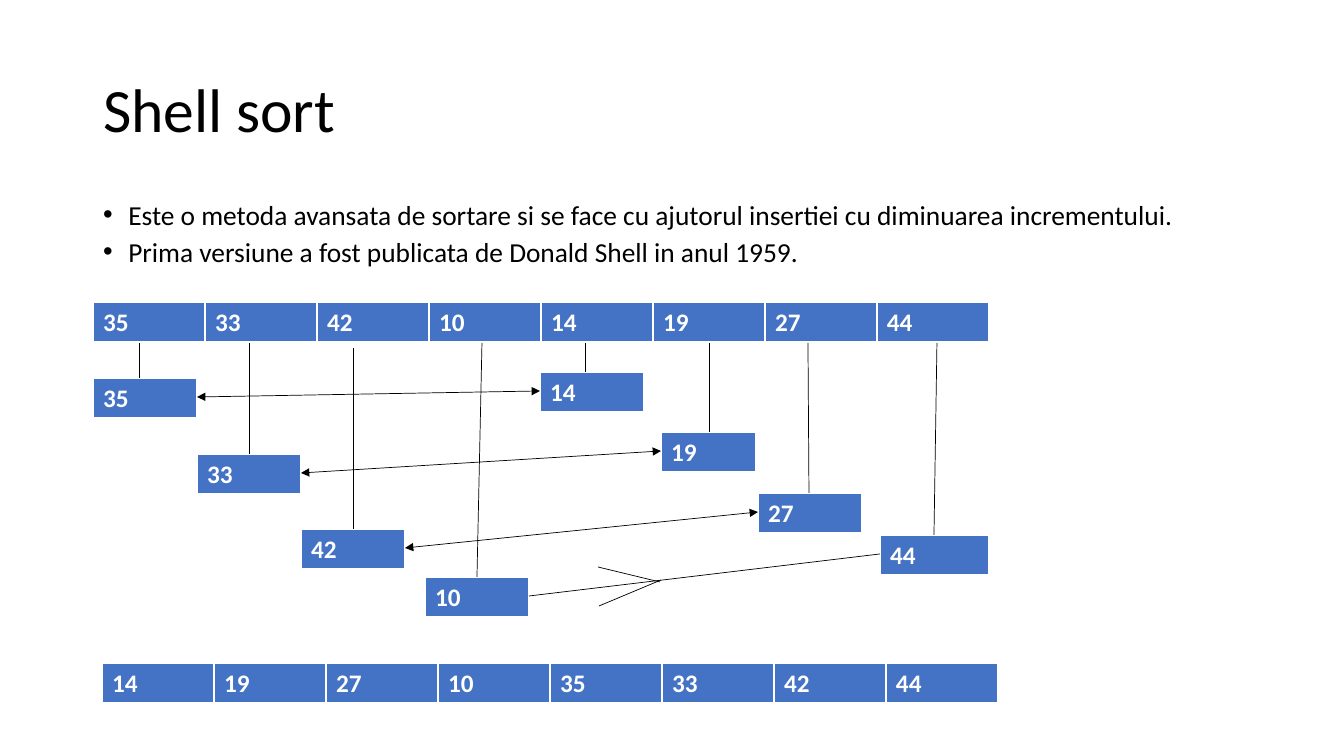
from lxml.etree import SubElement
from pptx import Presentation
from pptx.dml.color import RGBColor
from pptx.enum.shapes import MSO_CONNECTOR
from pptx.enum.text import MSO_ANCHOR, PP_ALIGN
from pptx.oxml.ns import qn
from pptx.util import Emu, Pt

COLORS = {"ink": "000000", "paper": "FFFFFF", "cell": "4472C4"}
ROW_HEIGHT = 41
CELL_MIDDLE = 19


def px(length):
    return Emu(round(length * 914400 / 100.8))


def apply(target, values):
    for name, value in values.items():
        setattr(target, name, value)


class SortSlide:
    font = "Calibri"
    borders = {"lnL": 1, "lnR": 1, "lnT": 1, "lnB": 3}

    def __init__(self, deck):
        self.slide = deck.slides.add_slide(deck.slide_layouts[1])
        self.shapes = self.slide.shapes

    def color(self, key):
        return RGBColor.from_string(COLORS[key])

    def add_text(self, paragraph, text, size, color, bold=False):
        run = paragraph.add_run()
        run.text = text
        apply(run.font, {"name": self.font, "size": Pt(size), "bold": bold})
        run.font.color.rgb = self.color(color)

    def place(self, holder, left, top, width, height):
        apply(holder, {"left": px(left), "top": px(top),
                       "width": px(width), "height": px(height)})
        holder.text_frame.word_wrap = True
        return holder.text_frame

    def title(self, text, *box):
        frame = self.place(self.shapes.title, *box)
        frame.vertical_anchor = MSO_ANCHOR.MIDDLE
        heading = frame.paragraphs[0]
        apply(heading, {"alignment": PP_ALIGN.LEFT, "line_spacing": 0.9})
        self.add_text(heading, text, 44, "ink")

    def bullets(self, items, *box):
        frame = self.place(self.slide.placeholders[1], *box)
        for index, item in enumerate(items):
            point = frame.add_paragraph() if index else frame.paragraphs[0]
            apply(point, {"line_spacing": 0.7, "space_before": Pt(10)})
            self.add_text(point, item, 19.6, "ink")
            properties = point._p.get_or_add_pPr()
            properties.set("marL", str(px(25.2)))
            properties.set("indent", str(-px(25.2)))
            SubElement(properties, qn("a:buFont"), typeface="Arial")
            SubElement(properties, qn("a:buChar"), char="•")

    def array(self, values, left, top, cell_width):
        table = self.shapes.add_table(
            1, len(values), px(left), px(top),
            px(cell_width * len(values)), px(ROW_HEIGHT)).table
        for column, cell, value in zip(table.columns, table.rows[0].cells, values):
            column.width = px(cell_width)
            self.add_text(cell.text_frame.paragraphs[0], str(value), 18, "paper", True)
            properties = cell._tc.get_or_add_tcPr()
            for side, weight in self.borders.items():
                edge = SubElement(properties, qn(f"a:{side}"), w=str(Pt(weight)))
                paint = SubElement(edge, qn("a:solidFill"))
                SubElement(paint, qn("a:srgbClr"), val=COLORS["paper"])
            cell.fill.solid()
            cell.fill.fore_color.rgb = self.color("cell")

    def line(self, start, end, arrows=False):
        link = self.shapes.add_connector(
            MSO_CONNECTOR.STRAIGHT, *map(px, (*start, *end)))
        link.line.color.rgb = self.color("ink")
        link.line.width = Pt(0.5)
        properties = link._element.spPr
        if arrows:
            for tip in ("headEnd", "tailEnd"):
                SubElement(properties.get_or_add_ln(), qn(f"a:{tip}"), type="triangle")
        SubElement(properties, qn("a:effectLst"))


deck = Presentation()
apply(deck, {"slide_width": px(1344), "slide_height": px(756)})
page = SortSlide(deck)

page.title("Shell sort", 93, 40, 1159, 146)
page.bullets([
    "Este o metoda avansata de sortare si se face cu ajutorul insertiei "
    "cu diminuarea incrementului.",
    "Prima versiune a fost publicata de Donald Shell in anul 1959.",
], 93, 202, 1159, 86)

page.array([35, 33, 42, 10, 14, 19, 27, 44], 93, 302, 112)

elements = {
    35: (93, 378, 104),
    33: (197, 454, 104),
    42: (301, 529, 104),
    10: (425, 577, 104),
    14: (540, 372, 104),
    19: (661, 432, 95),
    27: (758, 493, 104),
    44: (880, 535, 109),
}
drops = {
    35: (139, 343, 139),
    33: (249, 343, 249),
    42: (353, 348, 353),
    10: (482, 343, 477),
    14: (585, 343, 585),
    19: (709, 343, 709),
    27: (808, 343, 809),
    44: (937, 343, 934),
}
for value, (left, top, width) in elements.items():
    page.array([value], left, top, width)
    drop_x, drop_y, landing_x = drops[value]
    page.line((drop_x, drop_y), (landing_x, top))

for low, high, swapped in [(35, 14, True), (33, 19, True),
                           (42, 27, True), (10, 44, False)]:
    left, top, width = elements[low]
    partner_left, partner_top, _ = elements[high]
    page.line((left + width, top + CELL_MIDDLE),
              (partner_left, partner_top + CELL_MIDDLE), swapped)

page.line((598, 567), (660, 582))
page.line((599, 606), (661, 580))

page.array([14, 19, 27, 10, 35, 33, 42, 44], 102, 663, 112)

deck.save("out.pptx")
